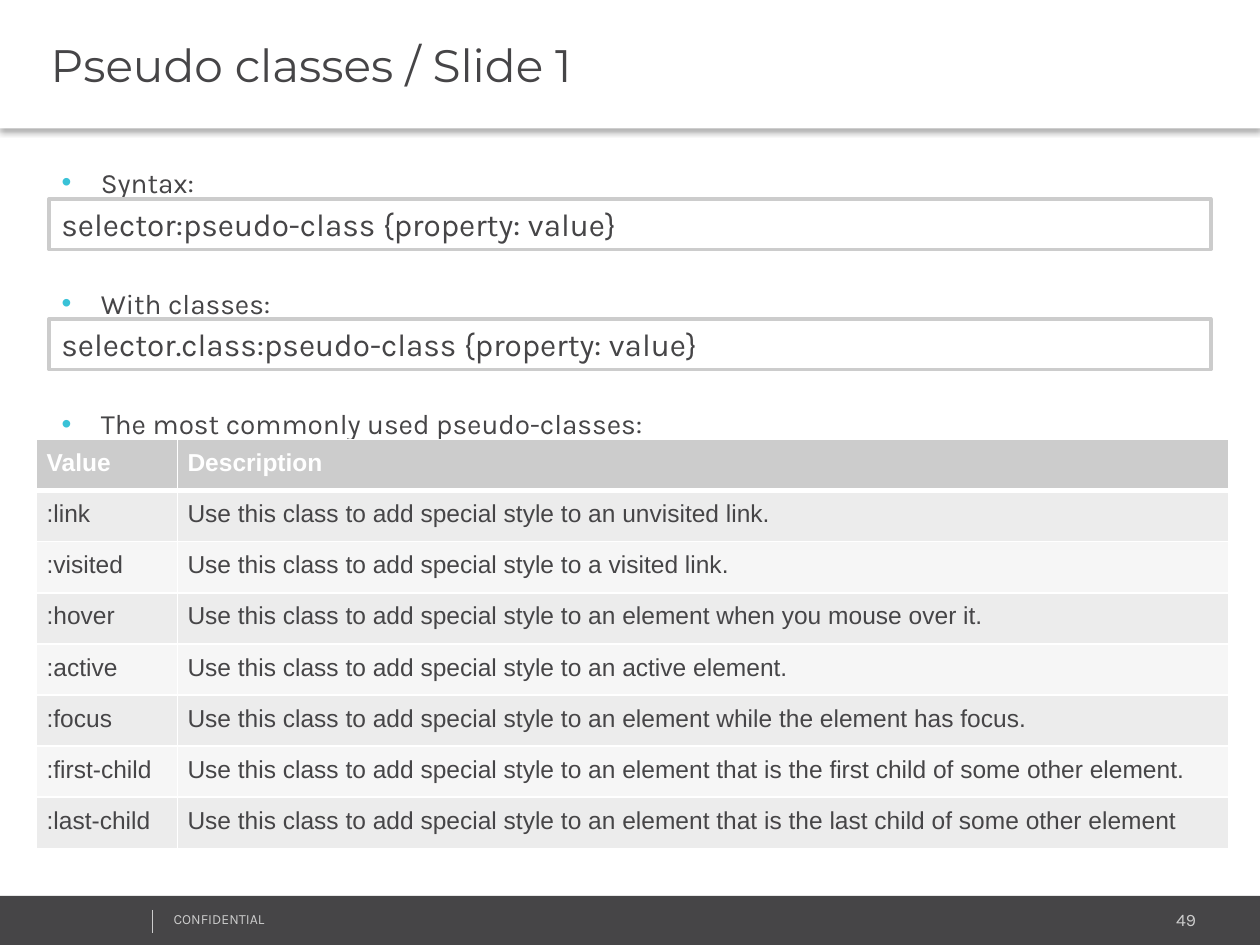
"""Build the "Pseudo classes" slide with syntax boxes and a table of values."""

from typing import NamedTuple

from lxml.etree import SubElement
from pptx import Presentation
from pptx.dml.color import RGBColor
from pptx.enum.shapes import MSO_CONNECTOR, MSO_SHAPE
from pptx.enum.text import MSO_ANCHOR, MSO_AUTO_SIZE, PP_ALIGN
from pptx.oxml.ns import qn
from pptx.util import Cm, Pt

WHITE = RGBColor(0xFF, 0xFF, 0xFF)
BLACK = RGBColor(0x00, 0x00, 0x00)
DARK = RGBColor(0x46, 0x45, 0x47)
SILVER = RGBColor(0xCC, 0xCC, 0xCC)
CYAN = RGBColor(0x39, 0xC2, 0xD7)
BANDS = (RGBColor(0xEC, 0xEC, 0xEC), RGBColor(0xF6, 0xF6, 0xF6))

SLIDE_WIDTH, SLIDE_HEIGHT = Cm(25.4), Cm(19.05)
MARGIN, CONTENT_WIDTH = Cm(0.99), Cm(23.42)
FOOTER_TOP = Cm(18.06)
BULLET_INDENT = Cm(0.79)
COLUMN_WIDTHS = (Cm(2.84), Cm(21.18))
ROW_HEIGHT = Cm(1.03)
CELL_INSET = Cm(0.2)


class SyntaxBox(NamedTuple):
    top: Cm
    code: str


class FooterText(NamedTuple):
    left: Cm
    top: Cm
    width: Cm
    height: Cm
    text: str
    size: int
    align: PP_ALIGN


class PseudoClass(NamedTuple):
    value: str
    description: str


TITLE = "Pseudo classes / Slide 1"
BULLETS = ("Syntax:", "With classes:", "The most commonly used pseudo-classes:")
SYNTAX_BOXES = (
    SyntaxBox(Cm(4.01), "selector:pseudo-class {property: value}"),
    SyntaxBox(Cm(6.43), "selector.class:pseudo-class {property: value}"),
)
FOOTER_TEXTS = (
    FooterText(Cm(20.22), Cm(18.21), Cm(4.14), Cm(0.69), "49", 10, PP_ALIGN.RIGHT),
    FooterText(Cm(3.25), Cm(18.24), Cm(6.43), Cm(0.61), "CONFIDENTIAL", 8, PP_ALIGN.LEFT),
)
HEADER = PseudoClass("Value", "Description")
USE = "Use this class to add special style to "
PSEUDO_CLASSES = (
    PseudoClass(":link", USE + "an unvisited link."),
    PseudoClass(":visited", USE + "a visited link."),
    PseudoClass(":hover", USE + "an element when you mouse over it."),
    PseudoClass(":active", USE + "an active element."),
    PseudoClass(":focus", USE + "an element while the element has focus."),
    PseudoClass(":first-child", USE + "an element that is the first child of some other element."),
    PseudoClass(":last-child", USE + "an element that is the last child of some other element"),
)


def set_font(paragraph, name: str, size: int, color: RGBColor, bold: bool = False) -> None:
    font = paragraph.font
    font.name, font.size, font.bold = name, Pt(size), bold
    font.color.rgb = color


def place(shape, left: int, top: int, width: int, height: int) -> None:
    shape.left, shape.top, shape.width, shape.height = left, top, width, height


def add_color(parent, color: RGBColor):
    return SubElement(parent, qn("a:srgbClr"), val=str(color))


def fill_title(title) -> None:
    place(title, 0, 0, SLIDE_WIDTH, Cm(2.59))
    title.fill.solid()
    title.fill.fore_color.rgb = WHITE
    effects = SubElement(title._element.spPr, qn("a:effectLst"))
    shadow = SubElement(effects, qn("a:outerShdw"), blurRad=str(Pt(3.1)),
                        dist=str(Pt(2)), dir="5400000", algn="t", rotWithShape="0")
    SubElement(add_color(shadow, BLACK), qn("a:alpha"), val="30000")
    frame = title.text_frame
    frame.text = TITLE
    frame.auto_size = MSO_AUTO_SIZE.NONE
    frame.vertical_anchor = MSO_ANCHOR.MIDDLE
    frame.margin_left = Cm(1.02)
    heading = frame.paragraphs[0]
    heading.alignment = PP_ALIGN.LEFT
    set_font(heading, "Montserrat", 26, DARK)


def fill_body(body) -> None:
    place(body, MARGIN, Cm(3.07), CONTENT_WIDTH, Cm(12.7))
    frame = body.text_frame
    frame.text = "\n".join(BULLETS)
    frame.auto_size = MSO_AUTO_SIZE.NONE
    for index, bullet in enumerate(frame.paragraphs):
        bullet.line_spacing = 1.2
        bullet.space_before = Pt(46 if index else 0)
        properties = bullet._p.get_or_add_pPr()
        properties.set("marL", str(BULLET_INDENT))
        properties.set("indent", str(-BULLET_INDENT))
        add_color(SubElement(properties, qn("a:buClr")), CYAN)
        SubElement(properties, qn("a:buFont"), typeface="Arial")
        SubElement(properties, qn("a:buChar"), char="•")
        set_font(bullet, "Karla", 16, DARK)


def add_rectangle(slide, left: int, top: int, width: int, height: int, fill: RGBColor):
    rectangle = slide.shapes.add_shape(MSO_SHAPE.RECTANGLE, left, top, width, height)
    rectangle.shadow.inherit = False
    rectangle.fill.solid()
    rectangle.fill.fore_color.rgb = fill
    rectangle.line.fill.background()
    return rectangle


def add_syntax_box(slide, syntax: SyntaxBox) -> None:
    box = add_rectangle(slide, MARGIN, syntax.top, CONTENT_WIDTH, Cm(1.02), WHITE)
    box.line.color.rgb = SILVER
    box.line.width = Pt(2)
    box.text_frame.text = syntax.code
    box.text_frame.vertical_anchor = MSO_ANCHOR.TOP
    code = box.text_frame.paragraphs[0]
    code.alignment = PP_ALIGN.LEFT
    set_font(code, "Karla", 18, DARK)


def add_footer(slide) -> None:
    add_rectangle(slide, 0, FOOTER_TOP, SLIDE_WIDTH, SLIDE_HEIGHT - FOOTER_TOP, DARK)
    for item in FOOTER_TEXTS:
        label = slide.shapes.add_textbox(item.left, item.top, item.width, item.height)
        label.text_frame.word_wrap = True
        label.text_frame.text = item.text
        paragraph = label.text_frame.paragraphs[0]
        paragraph.alignment = item.align
        set_font(paragraph, "Karla", item.size, SILVER)
    divider = slide.shapes.add_connector(
        MSO_CONNECTOR.STRAIGHT, Cm(3.07), Cm(18.34), Cm(3.07), Cm(18.8))
    divider.line.color.rgb = SILVER
    divider.line.width = Pt(0.75)
    SubElement(divider._element.spPr, qn("a:effectLst"))


def set_borders(cell, top: int, bottom: int) -> None:
    properties = cell._tc.get_or_add_tcPr()
    for side, width in (("L", 1), ("R", 1), ("T", top), ("B", bottom)):
        border = SubElement(properties, qn(f"a:ln{side}"), w=str(Pt(width)))
        add_color(SubElement(border, qn("a:solidFill")), WHITE)


def add_value_table(slide) -> None:
    entries = (HEADER, *PSEUDO_CLASSES)
    table = slide.shapes.add_table(
        len(entries), len(COLUMN_WIDTHS), Cm(0.74), Cm(8.86),
        sum(COLUMN_WIDTHS), ROW_HEIGHT * len(entries)).table
    for column, width in zip(table.columns, COLUMN_WIDTHS):
        column.width = width
    for index, (row, entry) in enumerate(zip(table.rows, entries)):
        row.height = ROW_HEIGHT
        is_header = index == 0
        for cell, text in zip(row.cells, entry):
            set_borders(cell, 3 if index == 1 else 1, 3 if is_header else 1)
            cell.fill.solid()
            cell.fill.fore_color.rgb = SILVER if is_header else BANDS[(index - 1) % 2]
            cell.margin_left = cell.margin_right = CELL_INSET
            cell.margin_top = cell.margin_bottom = CELL_INSET
            cell.text = text
            set_font(cell.text_frame.paragraphs[0], "Arial", 14,
                     WHITE if is_header else DARK, is_header)


def main() -> None:
    presentation = Presentation()
    presentation.slide_width, presentation.slide_height = SLIDE_WIDTH, SLIDE_HEIGHT
    slide = presentation.slides.add_slide(presentation.slide_layouts[1])
    add_footer(slide)
    fill_body(slide.placeholders[1])
    fill_title(slide.shapes.title)
    for syntax in SYNTAX_BOXES:
        add_syntax_box(slide, syntax)
    add_value_table(slide)
    presentation.save("out.pptx")


if __name__ == "__main__":
    main()
